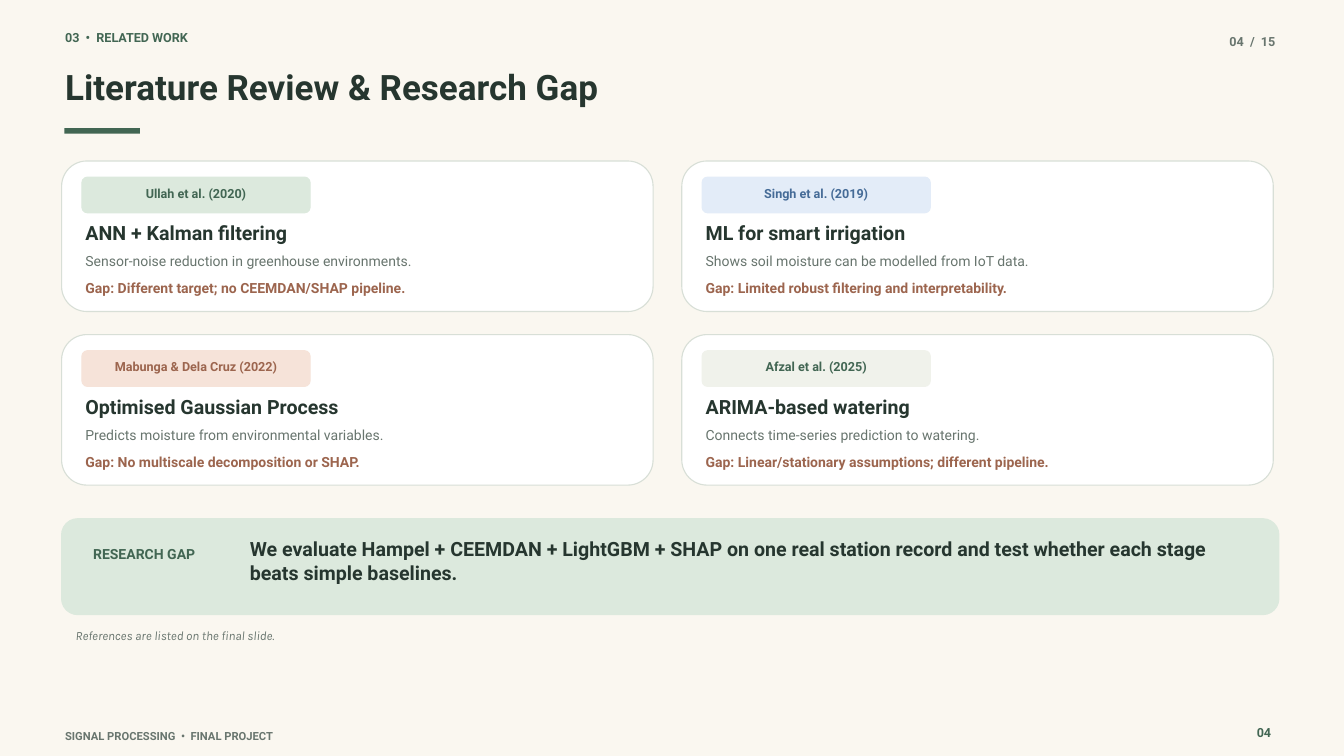
"""Builds the literature review and research gap slide."""
from dataclasses import dataclass
from itertools import product

from pptx import Presentation
from pptx.dml.color import RGBColor
from pptx.enum.shapes import MSO_SHAPE
from pptx.enum.text import PP_ALIGN
from pptx.util import Pt

EMU_PER_PX = 9525


def px(length):
    return length * EMU_PER_PX


@dataclass(frozen=True)
class Theme:
    background: str = "FAF7F0"
    ink: str = "26362F"
    muted: str = "68756E"
    green: str = "426653"
    mint: str = "DCE9DD"
    blue: str = "456B97"
    sky: str = "E3ECF8"
    rust: str = "9C654E"
    peach: str = "F6E3D9"
    stone: str = "F0F2EB"
    white: str = "FFFFFF"
    border: str = "D8DFD7"
    heading: float = 37.5
    lead: float = 21
    body: float = 15
    label: float = 13.5
    footer: float = 12
    line_width: float = 1.2
    line_spacing: float = 1.2
    font: str = "Roboto"
    note_font: str = "Karla"


class SlideBuilder:
    def __init__(self, theme, slide):
        self.theme = theme
        self.slide = slide
        fill = slide.background.fill
        fill.solid()
        fill.fore_color.rgb = RGBColor.from_string(theme.background)

    def text(self, box, content, size, color, bold=True, italic=False,
             align=PP_ALIGN.LEFT, font=None):
        shape = self.slide.shapes.add_textbox(*map(px, box))
        frame = shape.text_frame
        frame.word_wrap = True
        frame.margin_left = frame.margin_right = 0
        frame.margin_top = frame.margin_bottom = 0
        paragraph = frame.paragraphs[0]
        paragraph.alignment = align
        paragraph.line_spacing = Pt(size * self.theme.line_spacing)
        run = paragraph.add_run()
        run.text = content
        run.font.name = font or self.theme.font
        run.font.size = Pt(size)
        run.font.bold = bold
        run.font.italic = italic
        run.font.color.rgb = RGBColor.from_string(color)

    def panel(self, box, fill, border=None, radius=0):
        kind = MSO_SHAPE.ROUNDED_RECTANGLE if radius else MSO_SHAPE.RECTANGLE
        shape = self.slide.shapes.add_shape(kind, *map(px, box))
        shape.shadow.inherit = False
        shape.fill.solid()
        shape.fill.fore_color.rgb = RGBColor.from_string(fill)
        if radius:
            shape.adjustments[0] = radius / min(box[2:])
        if border:
            shape.line.color.rgb = RGBColor.from_string(border)
            shape.line.width = Pt(self.theme.line_width)
        else:
            shape.line.fill.background()

    def study_card(self, left, top, study):
        theme = self.theme
        citation, badge_fill, badge_color, method, finding, gap = study
        self.panel((left, top, 845, 215), theme.white, theme.border, 36)
        self.panel((left + 29, top + 23, 326, 51), badge_fill, badge_fill, 8)
        self.text((left + 45, top + 35, 294, 19), citation, theme.label,
                  badge_color, align=PP_ALIGN.CENTER)
        self.text((left + 34, top + 86, 756, 30), method, theme.lead, theme.ink)
        self.text((left + 34, top + 131, 749, 29), finding, theme.body,
                  theme.muted, bold=False)
        self.text((left + 34, top + 170, 756, 29), gap, theme.body, theme.rust)

    def header(self):
        theme = self.theme
        self.text((93, 43, 785, 30), "03  •  RELATED WORK", theme.label, theme.green)
        self.text((93, 93, 1721, 76), "Literature Review & Research Gap",
                  theme.heading, theme.ink)
        self.panel((92, 183, 108, 8), theme.green)
        self.text((1678, 49, 144, 25), "04  /  15", theme.label, theme.muted,
                  align=PP_ALIGN.RIGHT)

    def research_gap(self):
        theme = self.theme
        self.panel((88, 741, 1739, 137), theme.mint, theme.mint, 23)
        self.text((133, 780, 216, 21), "RESEARCH GAP", theme.body, theme.green)
        self.text((357, 767, 1404, 65),
                  "We evaluate Hampel + CEEMDAN + LightGBM + SHAP on one real station "
                  "record and test whether each stage beats simple baselines.",
                  theme.lead, theme.ink)
        self.text((108, 897, 713, 19), "References are listed on the final slide.",
                  theme.label, theme.muted, bold=False, italic=True,
                  font=theme.note_font)

    def footer(self):
        theme = self.theme
        self.text((93, 1042, 1217, 15), "SIGNAL PROCESSING  •  FINAL PROJECT",
                  theme.footer, theme.muted)
        self.text((1755, 1036, 61, 22), "04", theme.label, theme.green,
                  align=PP_ALIGN.RIGHT)


def main():
    theme = Theme()
    studies = [
        ("Ullah et al. (2020)", theme.mint, theme.green, "ANN + Kalman filtering",
         "Sensor-noise reduction in greenhouse environments.",
         "Gap: Different target; no CEEMDAN/SHAP pipeline."),
        ("Singh et al. (2019)", theme.sky, theme.blue, "ML for smart irrigation",
         "Shows soil moisture can be modelled from IoT data.",
         "Gap: Limited robust filtering and interpretability."),
        ("Mabunga & Dela Cruz (2022)", theme.peach, theme.rust,
         "Optimised Gaussian Process",
         "Predicts moisture from environmental variables.",
         "Gap: No multiscale decomposition or SHAP."),
        ("Afzal et al. (2025)", theme.stone, theme.green, "ARIMA-based watering",
         "Connects time-series prediction to watering.",
         "Gap: Linear/stationary assumptions; different pipeline."),
    ]
    presentation = Presentation()
    presentation.slide_width = px(1920)
    presentation.slide_height = px(1080)
    slide = presentation.slides.add_slide(presentation.slide_layouts[6])
    builder = SlideBuilder(theme, slide)
    builder.header()
    for (row, column), study in zip(product(range(2), repeat=2), studies):
        builder.study_card(88 + 886 * column, 230 + 248 * row, study)
    builder.research_gap()
    builder.footer()
    presentation.save("out.pptx")


if __name__ == "__main__":
    main()
